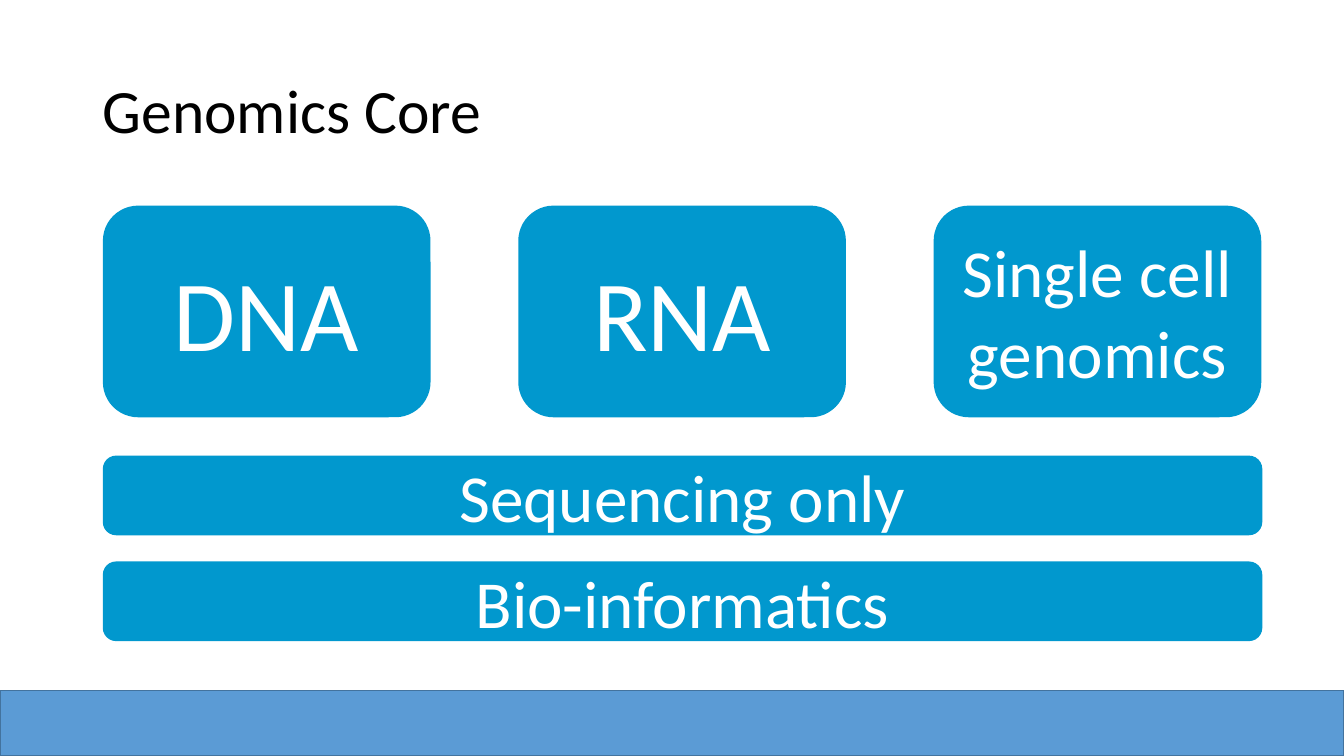
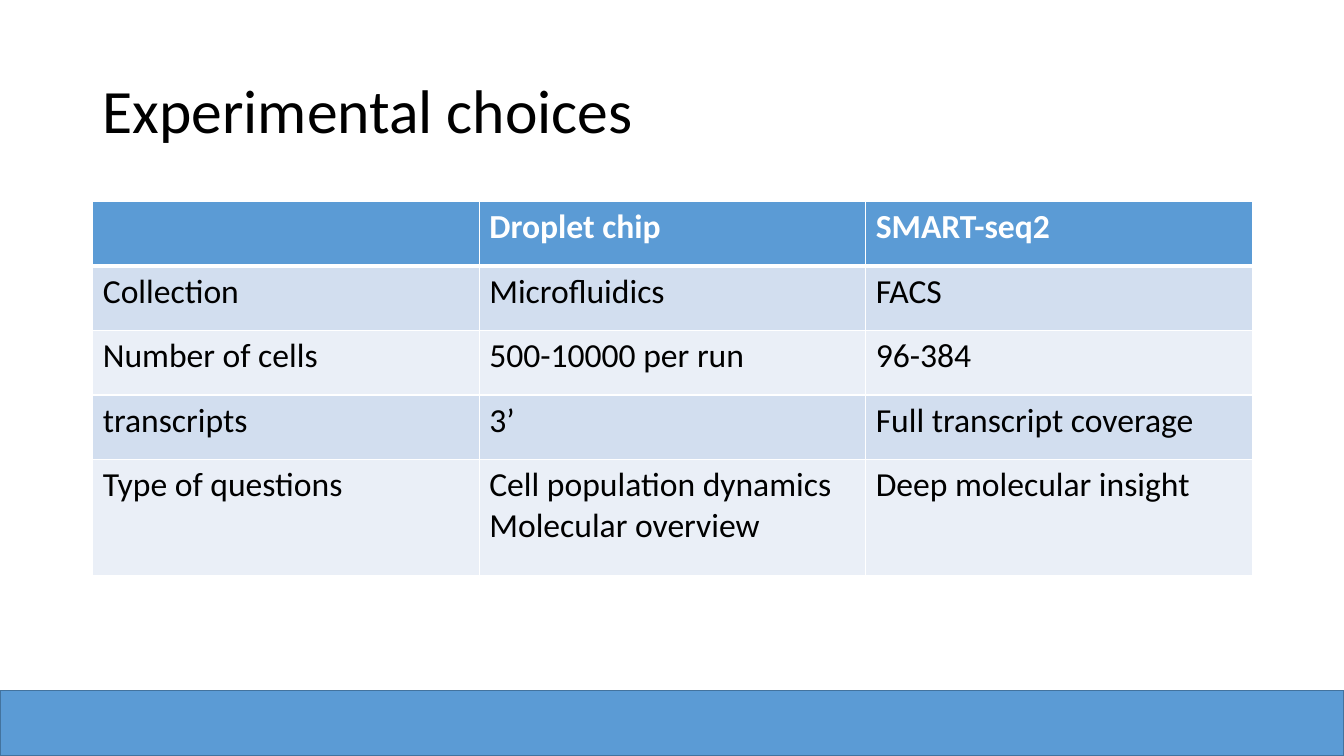
import dataclasses

import lxml.etree
import pptx
import pptx.dml.color
import pptx.enum.shapes
import pptx.enum.text
import pptx.oxml.ns
import pptx.util

Inches = pptx.util.Inches
Shapes = pptx.enum.shapes.MSO_SHAPE
Align = pptx.enum.text.PP_ALIGN
Anchor = pptx.enum.text.MSO_ANCHOR


@dataclasses.dataclass(frozen=True)
class Theme:
    font: str = "Calibri"
    # Colours
    text: str = "000000"
    white: str = "FFFFFF"
    blue: str = "5B9BD5"
    blue_edge: str = "43739E"
    tile: str = "0198CE"
    row_bands: tuple = ("D2DEEF", "EAEFF7")
    # Type sizes
    title_size: int = 44
    tile_size: int = 72
    label_size: int = 48
    table_size: int = 24


def rgb(value):
    return pptx.dml.color.RGBColor.from_string(value)


class Deck:
    """Holds the theme, the presentation and the current slide."""

    def __init__(self, theme):
        self.theme = theme
        self.presentation = pptx.Presentation()
        self.presentation.slide_width = Inches(13.33)
        self.presentation.slide_height = Inches(7.5)
        self.slide = None

    def set_text(self, frame, text, size, color, bold=False, **paragraph_format):
        """Fill a text frame, one paragraph per line of text."""
        for index, line in enumerate(text.split("\n")):
            paragraph = frame.paragraphs[0] if index == 0 else frame.add_paragraph()
            for name, value in paragraph_format.items():
                setattr(paragraph, name, value)
            run = paragraph.add_run()
            run.text = line
            font_format = {"name": self.theme.font, "size": pptx.util.Pt(size), "bold": bold}
            for name, value in font_format.items():
                setattr(run.font, name, value)
            run.font.color.rgb = rgb(color)

    def add_slide(self, title):
        """Start a slide with the shared footer band and title."""
        self.slide = self.presentation.slides.add_slide(self.presentation.slide_layouts[6])
        self.box(Shapes.RECTANGLE, 0, 6.85, 13.33, 0.65, self.theme.blue, self.theme.blue_edge)
        frame = self.slide.shapes.add_textbox(
            Inches(0.92), Inches(0.4), Inches(11.5), Inches(1.45)).text_frame
        frame.word_wrap = True
        frame.vertical_anchor = Anchor.MIDDLE
        self.set_text(frame, title, self.theme.title_size, self.theme.text, line_spacing=0.9)

    def box(self, kind, left, top, width, height, fill, edge=None):
        shape = self.slide.shapes.add_shape(
            kind, Inches(left), Inches(top), Inches(width), Inches(height))
        shape.shadow.inherit = False
        shape.fill.solid()
        shape.fill.fore_color.rgb = rgb(fill)
        if edge:
            shape.line.color.rgb = rgb(edge)
            shape.line.width = pptx.util.Pt(1)
        else:
            shape.line.fill.background()
        return shape

    def tile(self, text, size, left, top, width, height):
        """Rounded box with a centred white label."""
        shape = self.box(Shapes.ROUNDED_RECTANGLE, left, top, width, height, self.theme.tile)
        shape.text_frame.word_wrap = True
        shape.text_frame.vertical_anchor = Anchor.MIDDLE
        self.set_text(shape.text_frame, text, size, self.theme.white, alignment=Align.CENTER)

    def cell_borders(self, cell, widths):
        """Add white borders; widths in points by side (L, R, T, B)."""
        properties = cell._tc.get_or_add_tcPr()
        qualified = pptx.oxml.ns.qn
        for side, width in widths.items():
            line = lxml.etree.SubElement(
                properties, qualified(f"a:ln{side}"), w=str(pptx.util.Pt(width)))
            fill = lxml.etree.SubElement(line, qualified("a:solidFill"))
            lxml.etree.SubElement(fill, qualified("a:srgbClr"), val=self.theme.white)

    def table(self, rows, left, top, width, row_heights):
        """Table with a header row and alternating row colours."""
        theme = self.theme
        column_count = len(rows[0])
        table = self.slide.shapes.add_table(
            len(rows), column_count, Inches(left), Inches(top),
            Inches(width), Inches(sum(row_heights))).table
        for column in table.columns:
            column.width = Inches(width / column_count)
        for row_index, texts in enumerate(rows):
            table.rows[row_index].height = Inches(row_heights[row_index])
            header = row_index == 0
            fill = theme.blue if header else theme.row_bands[(row_index - 1) % 2]
            for column_index, text in enumerate(texts):
                cell = table.cell(row_index, column_index)
                # Borders must precede the fill in the cell properties
                self.cell_borders(cell, {"L": 1, "R": 1, "T": 3 if row_index == 1 else 1,
                                         "B": 3 if header else 1})
                cell.fill.solid()
                cell.fill.fore_color.rgb = rgb(fill)
                if text:
                    self.set_text(cell.text_frame, text, theme.table_size,
                                  theme.white if header else theme.text, bold=header)


def main():
    theme = Theme()
    deck = Deck(theme)

    # Services of the core
    deck.add_slide("Genomics Core")
    services = [("DNA", theme.tile_size), ("RNA", theme.tile_size),
                ("Single cell genomics", theme.label_size)]
    for index, (name, size) in enumerate(services):
        deck.tile(name, size, 1.02 + 4.12 * index, 2.04, 3.25, 2.1)
    for index, name in enumerate(["Sequencing only", "Bio-informatics"]):
        deck.tile(name, theme.label_size, 1.02, 4.52 + 1.05 * index, 11.5, 0.79)

    # Comparison of methods
    deck.add_slide("Experimental choices")
    deck.table([
        ["", "Droplet chip", "SMART-seq2"],
        ["Collection", "Microfluidics", "FACS"],
        ["Number of cells", "500-10000 per run", "96-384"],
        ["transcripts", "3’", "Full transcript coverage"],
        ["Type of questions", "Cell population dynamics\nMolecular overview",
         "Deep molecular insight"],
    ], 0.92, 2, 11.5, [0.64] * 4 + [1.15])

    deck.presentation.save("out.pptx")


if __name__ == "__main__":
    main()
